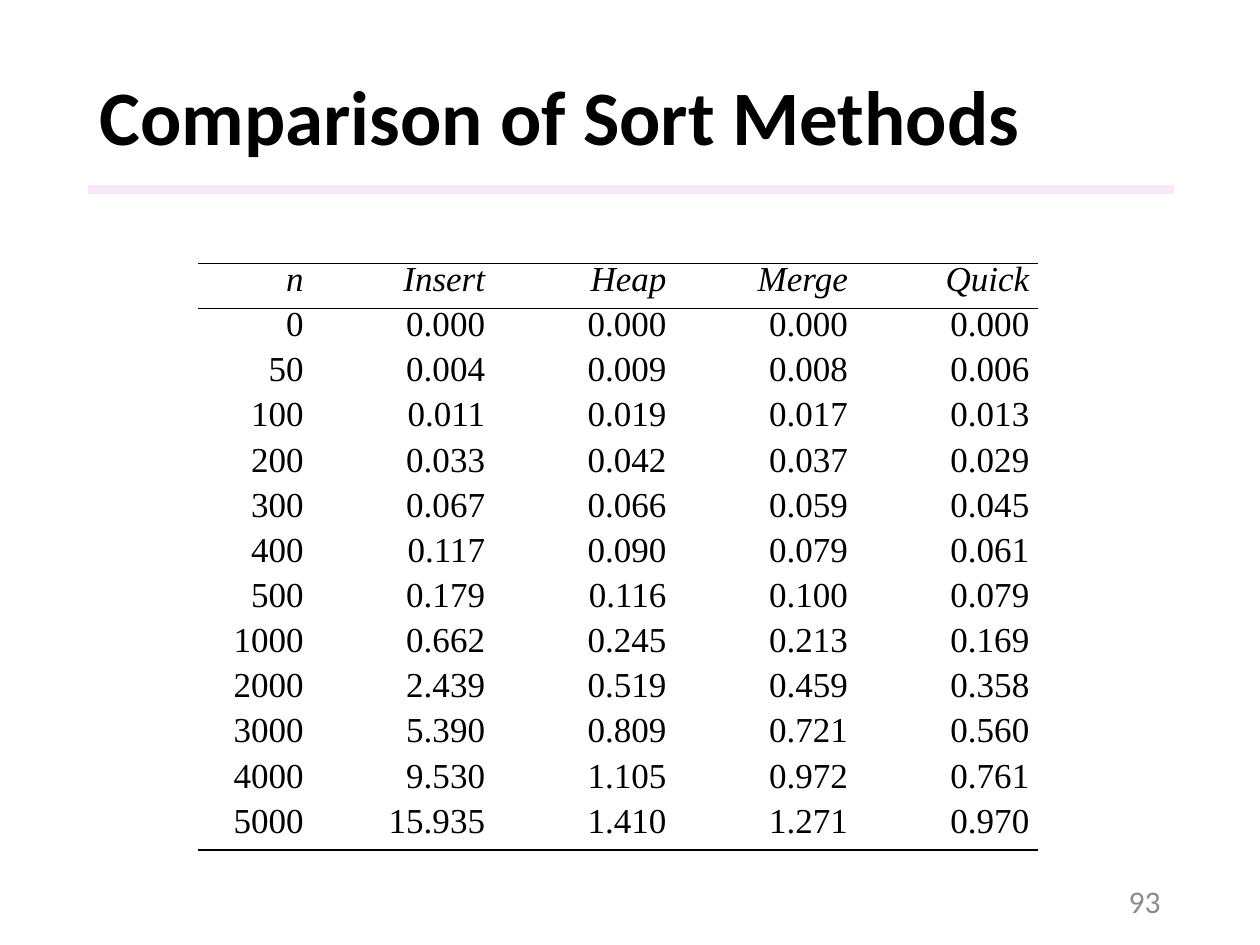
import pptx
import pptx.dml.color
import pptx.enum.shapes
import pptx.enum.text
import pptx.oxml
import pptx.oxml.ns
import pptx.util

Inches, Pt = pptx.util.Inches, pptx.util.Pt
ALIGN = pptx.enum.text.PP_ALIGN
MIDDLE = pptx.enum.text.MSO_ANCHOR.MIDDLE

# Content
TITLE = "Comparison of Sort Methods"
PAGE_NUMBER = "93"
HEADINGS = ("n", "Insert", "Heap", "Merge", "Quick")
TIMINGS = [
    ("0", "0.000", "0.000", "0.000", "0.000"),
    ("50", "0.004", "0.009", "0.008", "0.006"),
    ("100", "0.011", "0.019", "0.017", "0.013"),
    ("200", "0.033", "0.042", "0.037", "0.029"),
    ("300", "0.067", "0.066", "0.059", "0.045"),
    ("400", "0.117", "0.090", "0.079", "0.061"),
    ("500", "0.179", "0.116", "0.100", "0.079"),
    ("1000", "0.662", "0.245", "0.213", "0.169"),
    ("2000", "2.439", "0.519", "0.459", "0.358"),
    ("3000", "5.390", "0.809", "0.721", "0.560"),
    ("4000", "9.530", "1.105", "0.972", "0.761"),
    ("5000", "15.935", "1.410", "1.271", "0.970"),
]
COLORS = {"text": "000000", "rule": "F3D2F4", "page": "8C8C8C"}
COLUMN_WIDTHS = (0.91, 1.44, 1.44, 1.44, 1.44)
TABLE_LEFT, TABLE_TOP, TABLE_HEIGHT = 1.57, 2.09, 4.66


def rgb(name):
    return pptx.dml.color.RGBColor.from_string(COLORS[name])


def style(paragraph, font, size, color, align, bold=False, italic=False):
    paragraph.alignment = align
    for run in paragraph.runs:
        run.font.name, run.font.size = font, Pt(size)
        run.font.bold, run.font.italic = bold, italic
        run.font.color.rgb = rgb(color)


def add_label(slide, box, text, size, color, align, bold=False):
    frame = slide.shapes.add_textbox(*map(Inches, box)).text_frame
    frame.word_wrap = True
    frame.vertical_anchor = MIDDLE
    frame.text = text
    style(frame.paragraphs[0], "Calibri", size, color, align, bold)
    return frame.paragraphs[0]


def set_borders(cell, ruled_sides):
    """Draw a 1 pt line on the ruled sides and none on the others."""
    for side in "LRTB":
        paint = "<a:noFill/>"
        if side in ruled_sides:
            paint = f'<a:solidFill><a:srgbClr val="{COLORS["text"]}"/></a:solidFill>'
        cell._tc.get_or_add_tcPr().append(pptx.oxml.parse_xml(
            f'<a:ln{side} {pptx.oxml.ns.nsdecls("a")} w="{Pt(1)}">{paint}</a:ln{side}>'))


def add_timings(slide):
    rows = [HEADINGS, *TIMINGS]
    table = slide.shapes.add_table(
        len(rows), len(HEADINGS), Inches(TABLE_LEFT), Inches(TABLE_TOP),
        Inches(sum(COLUMN_WIDTHS)), Inches(TABLE_HEIGHT)).table
    table.first_row = table.horz_banding = False
    for column, width in zip(table.columns, COLUMN_WIDTHS):
        column.width = Inches(width)
    ruled = {0: "TB", 1: "T", len(rows) - 1: "B"}
    for r, values in enumerate(rows):
        table.rows[r].height = Inches(TABLE_HEIGHT / len(rows))
        for c, value in enumerate(values):
            cell = table.cell(r, c)
            cell.margin_left = cell.margin_right = Inches(0.07)
            cell.margin_top = cell.margin_bottom = 0
            cell.vertical_anchor = MIDDLE
            set_borders(cell, ruled.get(r, ""))
            cell.fill.background()
            cell.text_frame.text = value
            paragraph = cell.text_frame.paragraphs[0]
            paragraph.line_spacing = Pt(15)
            style(paragraph, "Times New Roman", 20, "text", ALIGN.RIGHT, italic=r == 0)


def main():
    deck = pptx.Presentation()
    deck.slide_width, deck.slide_height = Inches(10), Inches(7.5)
    slide = deck.slides.add_slide(deck.slide_layouts[6])

    # Half-transparent rule under the title
    rule = slide.shapes.add_shape(
        pptx.enum.shapes.MSO_SHAPE.RECTANGLE, *map(Inches, (0.7, 1.47, 8.62, 0.07)))
    rule.shadow.inherit = False
    rule.line.fill.background()
    rule.fill.solid()
    rule.fill.fore_color.rgb = rgb("rule")
    rule_color = rule.fill._xPr.find(".//" + pptx.oxml.ns.qn("a:srgbClr"))
    rule_color.append(pptx.oxml.parse_xml(
        f'<a:alpha {pptx.oxml.ns.nsdecls("a")} val="50000"/>'))

    # Title and page number
    title = add_label(slide, (0.69, 0.4, 8.62, 1.11), TITLE, 44, "text", ALIGN.LEFT, True)
    title.line_spacing = 0.9
    add_label(slide, (7.06, 6.95, 2.25, 0.4), PAGE_NUMBER, 18, "page", ALIGN.RIGHT)

    # Table of timings
    add_timings(slide)
    deck.save("out.pptx")


if __name__ == "__main__":
    main()
